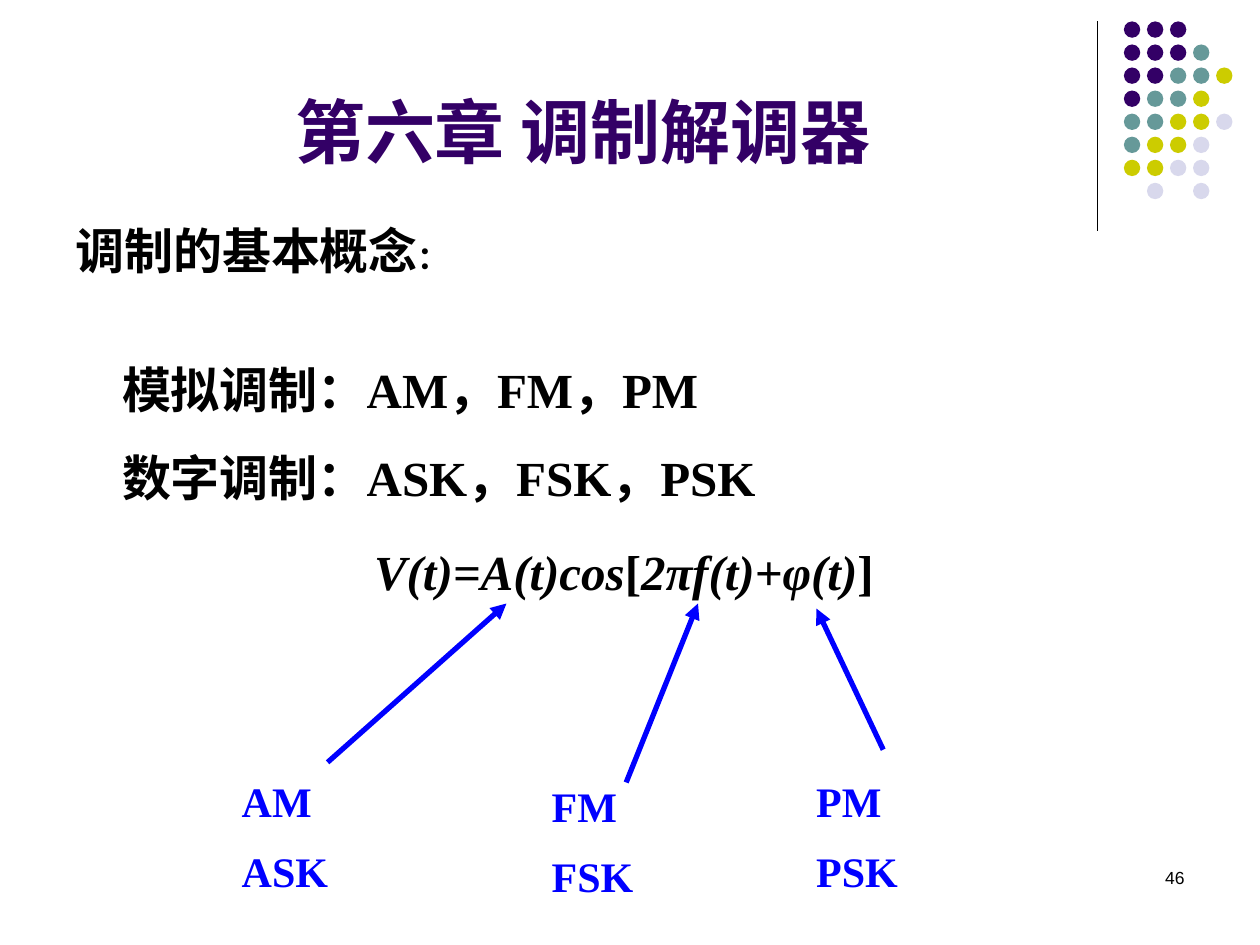
from dataclasses import dataclass

from lxml.etree import SubElement
from pptx import Presentation
from pptx.dml.color import RGBColor
from pptx.enum.shapes import MSO_CONNECTOR as Connector, MSO_SHAPE as Shape
from pptx.enum.text import MSO_ANCHOR as Anchor, PP_ALIGN as Align
from pptx.oxml.ns import qn
from pptx.slide import Slide
from pptx.util import Inches, Pt

SANS, SERIF = "Noto Sans CJK SC", "Times New Roman"
BLACK, PURPLE, BLUE = "000000", "330066", "0000FF"

DOT_COLORS = {"P": PURPLE, "T": "669999", "Y": "CCCC00", "L": "D8D8EC"}
DOT_ROWS = ("PPP", "PPPT", "PPTTY", "PTTY", "TTYYL", "TYYL", "YYLL", " L L")
DOT_LEFT, DOT_TOP, DOT_STEP, DOT_SIZE = 8.92, 0.17, 0.183, 0.13


@dataclass
class Span:
    text: str
    size: float
    font: str = SERIF
    color: str = BLACK
    bold: bool = True
    italic: bool = False


@dataclass
class TextBlock:
    left: float
    top: float
    width: float
    height: float
    paras: list[list[Span]]
    align: Align = Align.LEFT
    anchor: Anchor = Anchor.TOP
    line_points: float | None = None


@dataclass
class Line:
    start: tuple[float, float]
    end: tuple[float, float]
    color: str = BLUE
    points: float = 3
    arrow: bool = True


def rgb(value: str) -> RGBColor:
    return RGBColor.from_string(value)


def add_span(para, span: Span) -> None:
    run = para.add_run()
    run.text = span.text
    formats = {"name": span.font, "size": Pt(span.size),
               "bold": span.bold, "italic": span.italic}
    for name, value in formats.items():
        setattr(run.font, name, value)
    run.font.color.rgb = rgb(span.color)
    SubElement(run.font._element, qn("a:ea"), typeface=SANS)


def add_text(page: Slide, block: TextBlock) -> None:
    box = page.shapes.add_textbox(*map(Inches, (block.left, block.top, block.width, block.height)))
    frame = box.text_frame
    frame.word_wrap = True
    frame.vertical_anchor = block.anchor
    for index, spans in enumerate(block.paras):
        para = frame.add_paragraph() if index else frame.paragraphs[0]
        para.alignment = block.align
        if block.line_points:
            para.line_spacing = Pt(block.line_points)
        for span in spans:
            add_span(para, span)


def add_line(page: Slide, line: Line) -> None:
    connector = page.shapes.add_connector(
        Connector.STRAIGHT, *map(Inches, line.start + line.end))
    connector.line.color.rgb = rgb(line.color)
    connector.line.width = Pt(line.points)
    if line.arrow:
        SubElement(connector.line._get_or_add_ln(), qn("a:tailEnd"), type="triangle")
    SubElement(connector._element.spPr, qn("a:effectLst"))


def add_dots(page: Slide) -> None:
    for row, keys in enumerate(DOT_ROWS):
        for column, key in enumerate(keys):
            if key == " ":
                continue
            dot = page.shapes.add_shape(
                Shape.OVAL,
                Inches(DOT_LEFT + column * DOT_STEP), Inches(DOT_TOP + row * DOT_STEP),
                Inches(DOT_SIZE), Inches(DOT_SIZE))
            dot.shadow.inherit = False
            dot.fill.solid()
            dot.fill.fore_color.rgb = rgb(DOT_COLORS[key])
            dot.line.fill.background()


def label(left: float, top: float, analog: str, digital: str) -> TextBlock:
    """Pair an analog modulation with its digital counterpart."""
    paras = [[Span(name, 24, color=BLUE)] for name in (analog, digital)]
    return TextBlock(left, top, 1.26, 1.22, paras, line_points=40)


TEXTS = [
    TextBlock(0.5, 0, 8.25, 1.42, [[Span("第六章 调制解调器", 40, SANS, PURPLE)]],
              Align.CENTER, Anchor.BOTTOM),
    TextBlock(7.17, 6.83, 2.33, 0.5, [[Span("46", 10, "Arial", bold=False)]], Align.RIGHT),
    TextBlock(2.87, 4.25, 6.75, 0.57, [[
        Span("V(t)=A(t)cos", 28, italic=True), Span("[", 28),
        Span("2πf(t)+φ(t)", 28, italic=True), Span("]", 28)]]),
    TextBlock(0.87, 2.58, 6.61, 1.42, [
        [Span("模拟调制：AM，FM，PM", 28)],
        [Span("数字调制：ASK，FSK，PSK", 28)]], line_points=50),
    label(1.82, 5.95, "AM", "ASK"),
    label(4.28, 5.99, "FM", "FSK"),
    label(6.38, 5.95, "PM", "PSK"),
    TextBlock(0.5, 1.7, 5.6, 0.57, [[Span("调制的基本概念", 28, SANS), Span("：", 18)]]),
]

LINES = [
    Line((8.71, 0.17), (8.71, 1.83), BLACK, 0.75, arrow=False),
    Line((2.6, 6.05), (4.02, 4.79)),
    Line((4.97, 6.21), (5.54, 4.79)),
    Line((7.01, 5.95), (6.48, 4.83)),
]


def main() -> None:
    deck = Presentation()
    deck.slide_width, deck.slide_height = Inches(10), Inches(7.5)
    page = deck.slides.add_slide(deck.slide_layouts[6])
    add_dots(page)
    for block in TEXTS:
        add_text(page, block)
    for line in LINES:
        add_line(page, line)
    deck.save("out.pptx")


if __name__ == "__main__":
    main()
